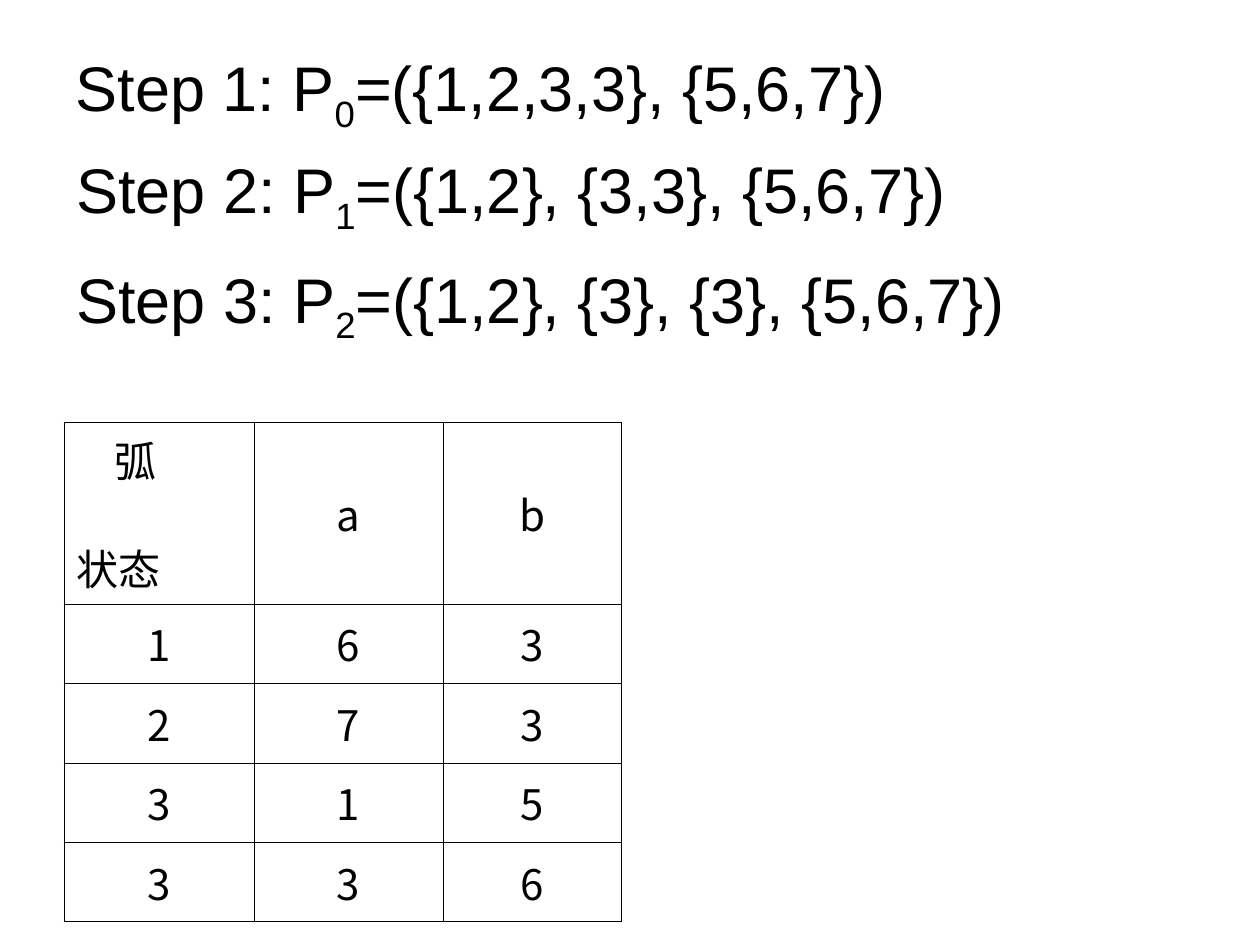
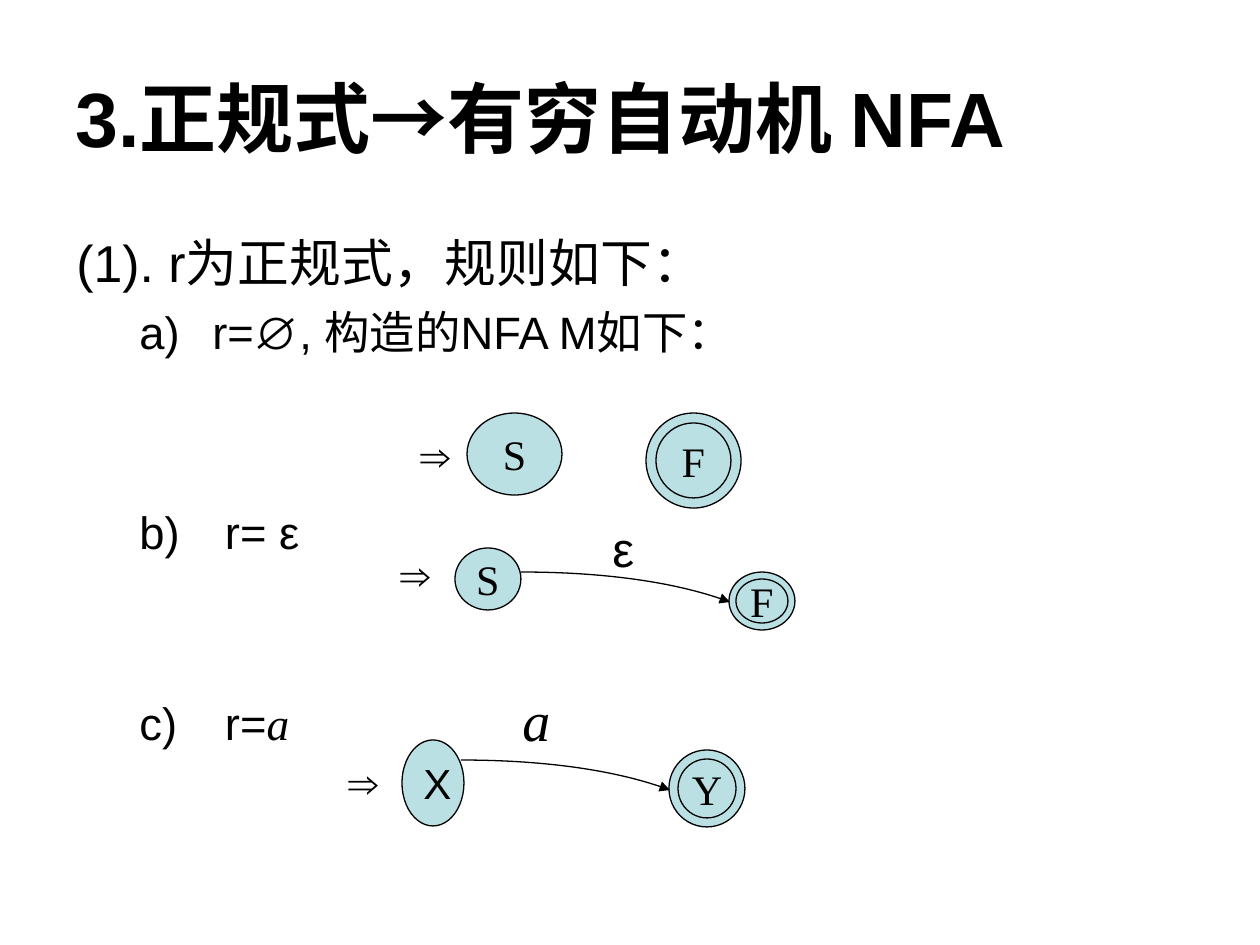
from lxml.etree import SubElement
from pptx import Presentation
from pptx.dml.color import RGBColor
from pptx.enum.shapes import MSO_SHAPE as Preset
from pptx.enum.text import MSO_ANCHOR as Anchor, PP_ALIGN as Align
from pptx.oxml.ns import qn
from pptx.util import Emu, Inches, Pt

BLACK = RGBColor(0, 0, 0)
STATE_FILL = RGBColor(0xBB, 0xE0, 0xE3)
ARIAL, TIMES, CJK = "Arial", "Times New Roman", "Noto Sans CJK SC"
TITLE_ONLY = 5
SCALE = Inches(10) / 1260


def px(length):
    return Emu(round(length * SCALE))


def set_indent(paragraph, left, first_line=0):
    properties = paragraph._p.get_or_add_pPr()
    properties.set("marL", str(px(left)))
    properties.set("indent", str(px(first_line)))
    return properties


def set_letter_number(paragraph):
    """Number the paragraph a), b), c) with a hanging indent."""
    properties = set_indent(paragraph, 136, -73)
    SubElement(properties, qn("a:buFont"), typeface=ARIAL)
    SubElement(properties, qn("a:buAutoNum"), type="alphaLcParenR")


def set_borders(cell):
    properties = cell._tc.get_or_add_tcPr()
    for position, side in enumerate(("lnL", "lnR", "lnT", "lnB")):
        line = properties.makeelement(qn(f"a:{side}"), {"w": str(Pt(0.45))})
        fill = SubElement(line, qn("a:solidFill"))
        SubElement(fill, qn("a:srgbClr"), val=str(BLACK))
        properties.insert(position, line)


class Deck:
    def __init__(self):
        self.presentation = Presentation()
        self.presentation.slide_width = px(1260)
        self.presentation.slide_height = px(945)
        self.slide = None

    def add_runs(self, paragraph, *parts, size, font=ARIAL, bold=False, align=Align.LEFT):
        """Add runs; a part is a text or a pair of text and style name."""
        paragraph.alignment = align
        for part in parts:
            text, style = (part, "") if isinstance(part, str) else part
            run = paragraph.add_run()
            run.text = text
            run.font.size = Pt(size)
            run.font.bold = bold
            run.font.color.rgb = BLACK
            run.font.name = TIMES if style == "symbol" else font
            run.font.italic = style == "symbol"
            properties = run._r.get_or_add_rPr()
            SubElement(properties, qn("a:ea"), typeface=CJK)
            if style == "subscript":
                properties.set("baseline", "-25000")

    def add_slide(self, *title, height, size, bold=False):
        layout = self.presentation.slide_layouts[TITLE_ONLY]
        self.slide = self.presentation.slides.add_slide(layout)
        shape = self.slide.shapes.title
        shape.left, shape.top, shape.width, shape.height = map(px, (63, 38, 1134, height))
        shape.text_frame.vertical_anchor = Anchor.MIDDLE
        self.add_runs(shape.text_frame.paragraphs[0], *title, size=size, bold=bold)

    def add_box(self, left, top, width, height, anchor=Anchor.TOP, wrap=True):
        box = self.slide.shapes.add_textbox(*map(px, (left, top, width, height)))
        box.text_frame.word_wrap = wrap
        box.text_frame.vertical_anchor = anchor
        return box.text_frame

    def add_label(self, left, top, width, height, *parts, size, anchor=Anchor.TOP, wrap=True):
        frame = self.add_box(left, top, width, height, anchor, wrap)
        self.add_runs(frame.paragraphs[0], *parts, size=size)

    def add_table(self, left, top, widths, heights, rows):
        """Draw a table; a cell with two texts holds both axis names."""
        frame = self.slide.shapes.add_table(
            len(heights), len(widths),
            *map(px, (left, top, sum(widths), sum(heights))))
        table = frame.table
        table.first_row = table.horz_banding = False
        for column, width in zip(table.columns, widths):
            column.width = px(width)
        for row, height, texts in zip(table.rows, heights, rows):
            row.height = px(height)
            for cell, text in zip(row.cells, texts):
                cell.fill.background()
                set_borders(cell)
                paragraph = cell.text_frame.paragraphs[0]
                if isinstance(text, str):
                    cell.vertical_anchor = Anchor.MIDDLE
                    self.add_runs(paragraph, text, size=24, font=CJK, align=Align.CENTER)
                    continue
                column_axis, row_axis = text
                set_indent(paragraph, 38)
                self.add_runs(paragraph, column_axis, size=24, font=CJK)
                paragraph = cell.text_frame.add_paragraph()
                paragraph.space_before = Pt(27)
                self.add_runs(paragraph, row_axis, size=24, font=CJK)

    def add_ellipse(self, shapes, left, top, width, height):
        shape = shapes.add_shape(Preset.OVAL, *map(px, (left, top, width, height)))
        shape.shadow.inherit = False
        shape.fill.solid()
        shape.fill.fore_color.rgb = STATE_FILL
        shape.line.color.rgb = BLACK
        shape.line.width = Pt(0.75)
        return shape

    def add_state(self, name, left, top, width, height, ring=0, font=TIMES, align=Align.CENTER):
        """Draw a state; a ring gap makes it an accepting state."""
        shapes = self.slide.shapes
        if ring:
            shapes = shapes.add_group_shape().shapes
            self.add_ellipse(shapes, left, top, width, height)
        shape = self.add_ellipse(
            shapes, left + ring, top + ring, width - 2 * ring, height - 2 * ring)
        frame = shape.text_frame
        frame.word_wrap = False
        frame.vertical_anchor = Anchor.MIDDLE
        self.add_runs(frame.paragraphs[0], name, size=24, font=font, align=align)

    def add_transition(self, left, top):
        """Draw a curved arrow that starts at left, top."""
        offsets = ((82, 0), (159, 11), (209, 30))
        builder = self.slide.shapes.build_freeform(px(left), px(top))
        builder.add_line_segments(
            [(px(left + x), px(top + y)) for x, y in offsets], close=False)
        shape = builder.convert_to_shape()
        outline = shape._element.xpath(".//a:path")[0]
        segments = outline.findall(qn("a:lnTo"))
        curve = SubElement(outline, qn("a:cubicBezTo"))
        for segment in segments:
            curve.append(segment[0])
            outline.remove(segment)
        shape.shadow.inherit = False
        shape.fill.background()
        shape.line.color.rgb = BLACK
        shape.line.width = Pt(0.75)
        SubElement(shape._element.spPr.get_or_add_ln(), qn("a:tailEnd"), type="triangle")


def build_partition_slide(deck):
    def step(number, blocks):
        return (f"Step {number}: P", (str(number - 1), "subscript"), f"=({blocks})")

    deck.add_slide(*step(1, "{1,2,3,3}, {5,6,7}"), height=107, size=36)
    deck.add_table(64, 422, (190, 189, 178), (182, 79, 80, 79, 80), (
        (("弧", "状态"), "a", "b"),
        "163",
        "273",
        "315",
        "336",
    ))
    deck.add_label(64, 145, 1072, 97, *step(2, "{1,2}, {3,3}, {5,6,7}"),
                   size=36, anchor=Anchor.MIDDLE)
    deck.add_label(64, 244, 1072, 118, *step(3, "{1,2}, {3}, {3}, {5,6,7}"),
                   size=36, anchor=Anchor.MIDDLE)


def build_nfa_slide(deck):
    deck.add_slide("3.正规式→有穷自动机 NFA", height=157, size=44, bold=True)
    rules = deck.add_box(64, 224, 1134, 624)
    deck.add_runs(rules.paragraphs[0], "(1). r为正规式，规则如下：", size=29.6)
    for space_before, parts in (
        (7, ("r=∅, 构造的NFA M如下：",)),
        (83, (" r= ε",)),
        (78, (" r=", ("a", "symbol"))),
    ):
        paragraph = rules.add_paragraph()
        paragraph.space_before = Pt(space_before)
        set_letter_number(paragraph)
        deck.add_runs(paragraph, *parts, size=25.9)

    deck.add_state("S", 467, 413, 95, 82)
    deck.add_state("F", 646, 413, 95, 95, ring=10)
    deck.add_state("S", 455, 548, 66, 62)
    deck.add_state("F", 729, 572, 66, 58, ring=7)
    deck.add_state("X", 402, 740, 62, 86, font=ARIAL, align=Align.LEFT)
    deck.add_state("Y", 669, 750, 76, 77, ring=9)
    for left, top in ((521, 572), (461, 760)):
        deck.add_transition(left, top)
    deck.add_label(600, 512, 66, 72, "ε", size=28)
    deck.add_label(510, 679, 76, 81, ("a", "symbol"), size=32)
    for left, top in ((408, 423), (388, 542), (336, 750)):
        deck.add_label(left, top, 58, 63, "⇒", size=24, wrap=False)


def main():
    deck = Deck()
    build_partition_slide(deck)
    build_nfa_slide(deck)
    deck.presentation.save("out.pptx")


if __name__ == "__main__":
    main()
